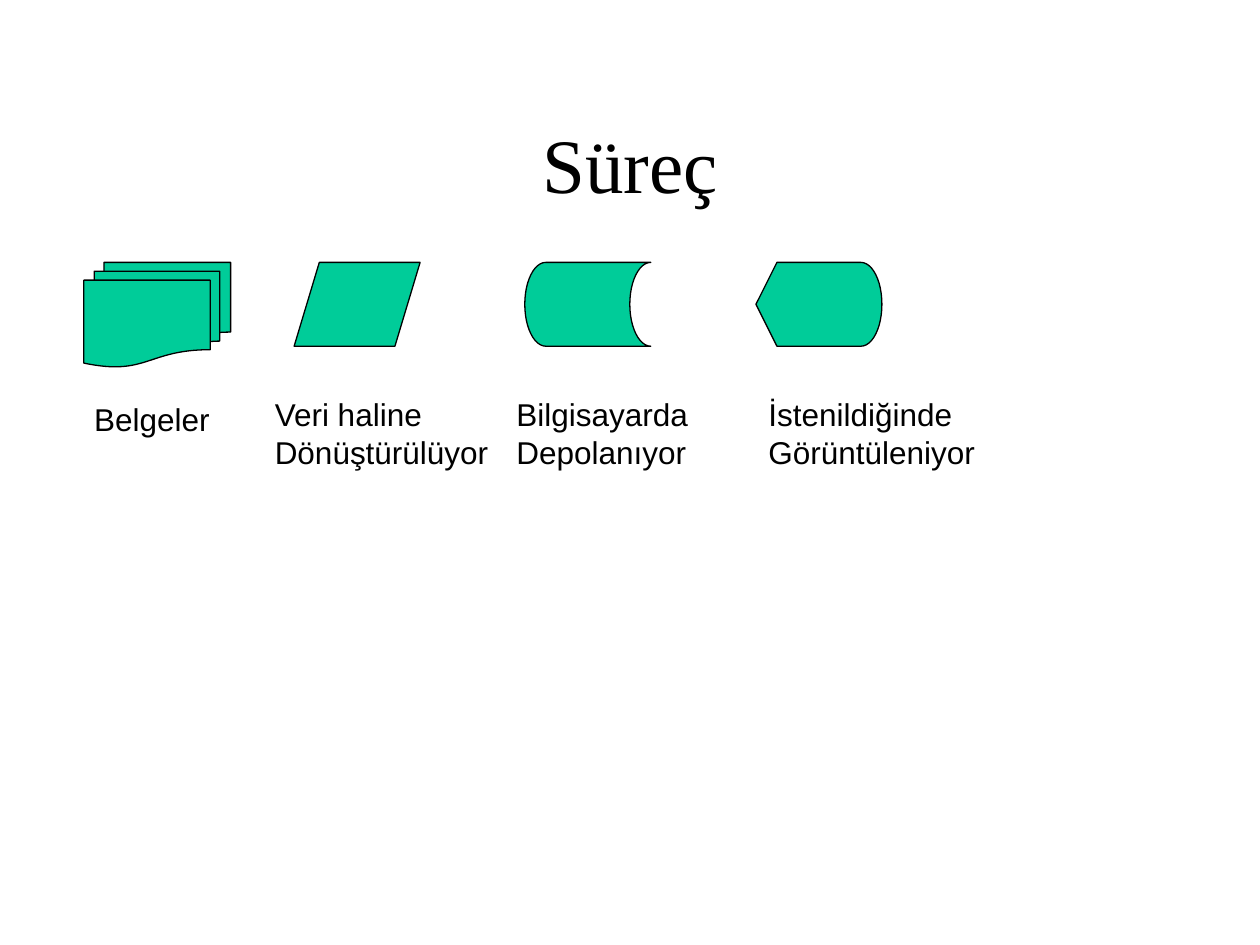
import pptx
import pptx.util
import pptx.dml.color
import pptx.enum.shapes
import pptx.enum.text

Cm, Pt = pptx.util.Cm, pptx.util.Pt
KIND = pptx.enum.shapes.MSO_SHAPE
ALIGN = pptx.enum.text.PP_ALIGN
ANCHOR = pptx.enum.text.MSO_ANCHOR
FIT = pptx.enum.text.MSO_AUTO_SIZE

BLACK, GREEN = "000000", "00CC99"
TITLE = "Süreç"
TOP = 5.29

# Symbol, its left, width and height; label lines, their left, top and width (cm)
STEPS = [
    (KIND.FLOWCHART_MULTIDOCUMENT, (1.69, 2.96, 2.11),
     ["Belgeler"], (1.65, 7.94, 2.9)),
    (KIND.FLOWCHART_DATA, (5.93, 2.54, 1.69),
     ["Veri haline", "Dönüştürülüyor"], (5.29, 7.84, 4.9)),
    (KIND.FLOWCHART_STORED_DATA, (10.58, 2.54, 1.69),
     ["Bilgisayarda", "Depolanıyor"], (10.16, 7.84, 4)),
    (KIND.FLOWCHART_DISPLAY, (15.24, 2.54, 1.69),
     ["İstenildiğinde", "Görüntüleniyor"], (15.24, 7.84, 4.75)),
]


def color(code):
    return pptx.dml.color.RGBColor.from_string(code)


def write(slide, lines, box, size=18, font="Arial", align=ALIGN.LEFT,
          anchor=ANCHOR.TOP, wrap=False, fit=FIT.SHAPE_TO_FIT_TEXT):
    frame = slide.shapes.add_textbox(*map(Cm, box)).text_frame
    frame.word_wrap = wrap
    frame.auto_size = fit
    frame.vertical_anchor = anchor
    frame.text = "\n".join(lines)
    for para in frame.paragraphs:
        para.alignment = align
        para.font.size = Pt(size)
        para.font.name = font
        para.font.color.rgb = color(BLACK)


def draw(slide, kind, box):
    shape = slide.shapes.add_shape(kind, *map(Cm, box))
    shape.shadow.inherit = False
    shape.fill.solid()
    shape.fill.fore_color.rgb = color(GREEN)
    shape.line.color.rgb = color(BLACK)
    shape.line.width = Pt(0.75)


def main():
    deck = pptx.Presentation()
    deck.slide_width, deck.slide_height = Cm(25.4), Cm(19.05)
    slide = deck.slides.add_slide(deck.slide_layouts[6])
    write(slide, [TITLE], (1.9, 1.7, 21.6, 3.18), size=44,
          font="Times New Roman", align=ALIGN.CENTER,
          anchor=ANCHOR.MIDDLE, wrap=True, fit=FIT.NONE)
    for kind, (left, width, height), lines, (x, y, wide) in STEPS:
        draw(slide, kind, (left, TOP, width, height))
        write(slide, lines, (x, y, wide, 0.26 + 0.76 * len(lines)))
    deck.save("out.pptx")


if __name__ == "__main__":
    main()
